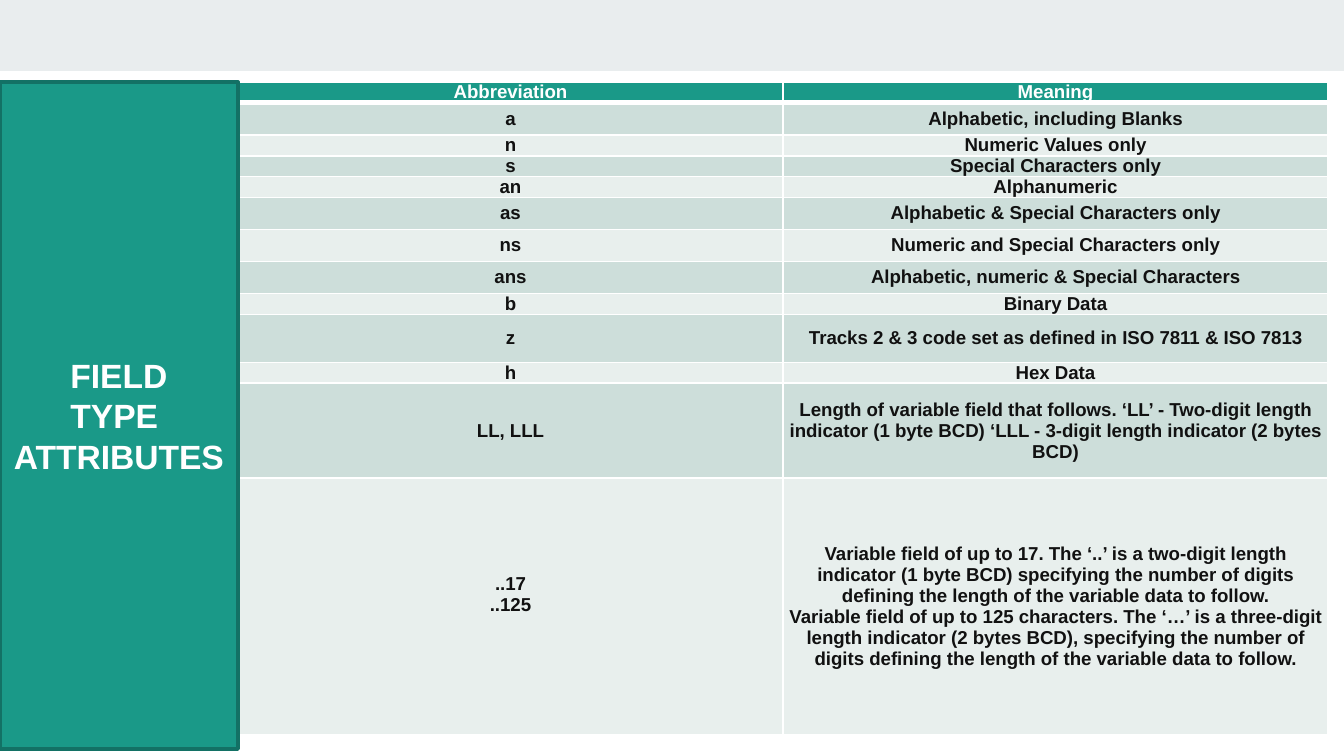
from lxml.etree import SubElement
from pptx import Presentation
from pptx.dml.color import RGBColor
from pptx.enum.shapes import MSO_SHAPE as Shape
from pptx.enum.text import MSO_ANCHOR as Anchor, PP_ALIGN as Align
from pptx.oxml.ns import qn
from pptx.util import Pt

# Content
TITLE = "FIELD\nTYPE \nATTRIBUTES"
HEADER = ("Abbreviation", "Meaning")
FIELD_TYPES = [  # abbreviation, meaning, row height in px
    ("a", "Alphabetic, including Blanks", 32),
    ("n", "Numeric Values only", 19),
    ("s", "Special Characters only", 19),
    ("an", "Alphanumeric", 19),
    ("as", "Alphabetic & Special Characters only", 32),
    ("ns", "Numeric and Special Characters only", 32),
    ("ans", "Alphabetic, numeric & Special Characters", 32),
    ("b", "Binary Data", 19),
    ("z", "Tracks 2 & 3 code set as defined in ISO 7811 & ISO 7813", 48),
    ("h", "Hex Data", 19),
    ("LL, LLL", "Length of variable field that follows. ‘LL’ - Two-digit length "
     "indicator (1 byte BCD) ‘LLL - 3-digit length indicator (2 bytes BCD)", 95),
    ("..17\n..125", "Variable field of up to 17. The ‘..’ is a two-digit length "
     "indicator (1 byte BCD) specifying the number of digits defining the length "
     "of the variable data to follow.\n"
     "Variable field of up to 125 characters. The ‘…’ is a three-digit length "
     "indicator (2 bytes BCD), specifying the number of digits defining the "
     "length of the variable data to follow.", 257),
]
ROWS = [(*HEADER, 19)] + FIELD_TYPES

# Measures in px
SLIDE_W, SLIDE_H = 1344, 756
BAND_H = 71
TOP = 82
PANEL_W, PANEL_H = 238, 667
COLUMN_W = 545
CELL_INSET = 5
LAST_LABEL_LIFT = 24

FONT = "Arial"
WHITE = RGBColor(0xFF, 0xFF, 0xFF)
INK = RGBColor(0x11, 0x11, 0x11)
TEAL = RGBColor(0x1A, 0x99, 0x88)
DARK_TEAL = RGBColor(0x13, 0x71, 0x65)
BAND_GREY = RGBColor(0xE9, 0xED, 0xEE)
STRIPES = (RGBColor(0xE8, 0xEF, 0xED), RGBColor(0xCD, 0xDE, 0xDA))


def px(length):
    return round(length * 914400 / 134.4)


def write(frame, text, size, color):
    frame.text = text
    for para in frame.paragraphs:
        para.alignment = Align.CENTER
        for span in para.runs:
            span.font.name = FONT
            span.font.size = Pt(size)
            span.font.bold = True
            span.font.color.rgb = color


def add_box(page, top, width, height, fill):
    box = page.shapes.add_shape(Shape.RECTANGLE, 0, px(top), px(width), px(height))
    box.shadow.inherit = False
    box.fill.solid()
    box.fill.fore_color.rgb = fill
    box.line.fill.background()
    return box


def set_borders(cell, **widths):
    properties = cell._tc.get_or_add_tcPr()
    for side, width in widths.items():
        line = SubElement(properties, qn(f"a:ln{side}"), w=str(Pt(width)))
        fill = SubElement(line, qn("a:solidFill"))
        SubElement(fill, qn("a:srgbClr"), val=str(WHITE))


deck = Presentation()
deck.slide_width, deck.slide_height = px(SLIDE_W), px(SLIDE_H)
page = deck.slides.add_slide(deck.slide_layouts[6])

# Top band
add_box(page, 0, SLIDE_W, BAND_H, BAND_GREY)

# Table of field types
table = page.shapes.add_table(
    len(ROWS), len(HEADER), px(PANEL_W), px(TOP),
    px(COLUMN_W * len(HEADER)), px(sum(row[-1] for row in ROWS))).table
for column in table.columns:
    column.width = px(COLUMN_W)
for index, (*texts, height) in enumerate(ROWS):
    table.rows[index].height = px(height)
    is_header = index == 0
    for cell, text in zip(table.rows[index].cells, texts):
        set_borders(cell, L=1, R=1, T=3 if index == 1 else 1, B=3 if is_header else 1)
        cell.fill.solid()
        cell.fill.fore_color.rgb = TEAL if is_header else STRIPES[index % 2]
        cell.margin_left = cell.margin_right = px(CELL_INSET)
        cell.margin_top = cell.margin_bottom = 0
        cell.vertical_anchor = Anchor.MIDDLE
        write(cell.text_frame, text, 10, WHITE if is_header else INK)
table.cell(len(ROWS) - 1, 0).margin_bottom = px(LAST_LABEL_LIFT)

# Title panel
panel = add_box(page, TOP, PANEL_W, PANEL_H, TEAL)
panel.line.color.rgb = DARK_TEAL
panel.line.width = Pt(2)
frame = panel.text_frame
frame.word_wrap = True
frame.margin_left = frame.margin_right = px(CELL_INSET)
frame.vertical_anchor = Anchor.MIDDLE
write(frame, TITLE, 18, WHITE)

deck.save("out.pptx")
